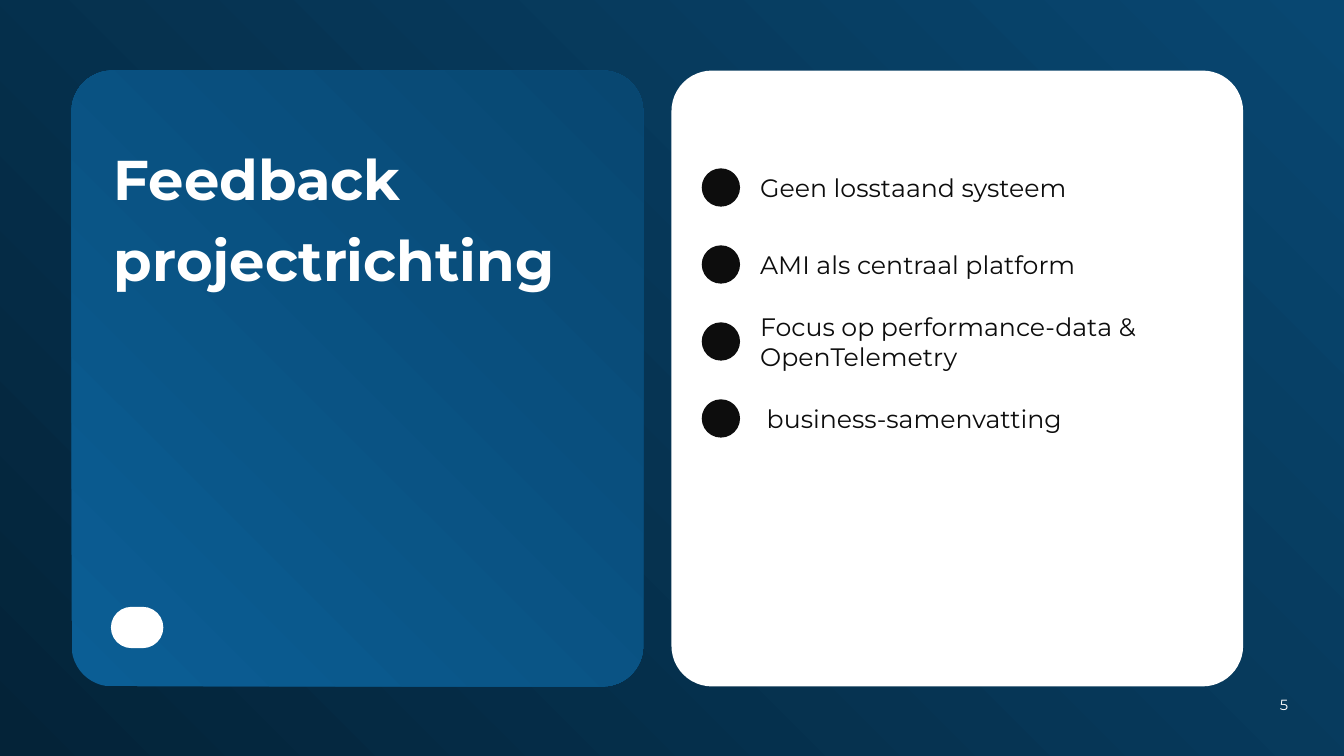
from pptx import Presentation
from pptx.dml.color import RGBColor
from pptx.enum.shapes import MSO_SHAPE as Shape
from pptx.enum.text import MSO_ANCHOR as Anchor, PP_ALIGN as Align
from pptx.util import Inches, Pt

COLORS = {
    "white": "FFFFFF",
    "ink": "0D0D0D",
    "bright": "084771",
    "night": "042338",
    "ocean": "0B5E95",
}
FONT = "Montserrat"
WIDTH, HEIGHT = 13.33, 7.5
PANEL_WIDTH, PANEL_HEIGHT = 5.67, 6.11
PANEL_LEFT, PANEL_TOP, PANEL_GAP = 0.71, 0.7, 0.28
POINTS = [
    "Geen losstaand systeem",
    "AMI als centraal platform",
    "Focus op performance-data & OpenTelemetry",
    " business-samenvatting",
]


def rgb(name):
    return RGBColor.from_string(COLORS[name])


def apply_gradient(fill, start, end):
    """Blend from the bottom left corner to the top right one."""
    fill.gradient()
    fill.gradient_angle = 45
    for stop, name in zip(fill.gradient_stops, (start, end)):
        stop.color.rgb = rgb(name)


def add_plain_shape(slide, kind, box, color=None, rounding=None):
    shape = slide.shapes.add_shape(kind, *map(Inches, box))
    shape.shadow.inherit = False
    shape.line.fill.background()
    if color:
        shape.fill.solid()
        shape.fill.fore_color.rgb = rgb(color)
    if rounding is not None:
        shape.adjustments[0] = rounding
    return shape


def add_text(slide, text, box, color, size, bold=False, inset=0.03,
             anchor=Anchor.TOP, align=Align.LEFT, spacing=1.0):
    frame = slide.shapes.add_textbox(*map(Inches, box)).text_frame
    margins = {f"margin_{side}": Inches(inset)
               for side in ("left", "top", "right", "bottom")}
    for name, value in {"word_wrap": True, "vertical_anchor": anchor, **margins}.items():
        setattr(frame, name, value)
    paragraph = frame.paragraphs[0]
    paragraph.alignment = align
    paragraph.line_spacing = spacing
    run = paragraph.add_run()
    run.text = text
    for name, value in {"name": FONT, "size": Pt(size), "bold": bold}.items():
        setattr(run.font, name, value)
    run.font.color.rgb = rgb(color)


def add_title_panel(slide, box):
    left, top, width, height = box
    panel = add_plain_shape(slide, Shape.ROUNDED_RECTANGLE, box, rounding=0.071)
    apply_gradient(panel.fill, "ocean", "bright")
    inner = left + 0.39
    add_text(slide, "Feedback projectrichting", (inner, top + 0.57, 4.87, 1.62),
             "white", 40, bold=True, spacing=1.2)
    # Pill at the foot of the panel
    add_plain_shape(slide, Shape.ROUNDED_RECTANGLE,
                    (inner, top + height - 0.79, 0.52, 0.41), "white", 0.5)


def add_points_panel(slide, box):
    left, top, width, height = box
    add_plain_shape(slide, Shape.ROUNDED_RECTANGLE, box, "white", 0.071)
    dot, text_height, pitch = 0.38, 0.66, height / 8
    for row, point in enumerate(POINTS):
        middle = top + 1.16 + row * pitch
        add_text(slide, point, (left + 0.85, middle - text_height / 2, 4.44, text_height),
                 "ink", 18, anchor=Anchor.MIDDLE)
        add_plain_shape(slide, Shape.OVAL, (left + 0.3, middle - dot / 2, dot, dot), "ink")


def add_page_number(slide, box):
    add_text(slide, "5", box, "white", 10.5, inset=0, align=Align.CENTER)


def main():
    presentation = Presentation()
    presentation.slide_width = Inches(WIDTH)
    presentation.slide_height = Inches(HEIGHT)
    slide = presentation.slides.add_slide(presentation.slide_layouts[6])
    apply_gradient(slide.background.fill, "night", "bright")

    # Two equal panels side by side
    for column, add_panel in enumerate((add_title_panel, add_points_panel)):
        left = PANEL_LEFT + column * (PANEL_WIDTH + PANEL_GAP)
        add_panel(slide, (left, PANEL_TOP, PANEL_WIDTH, PANEL_HEIGHT))
    add_page_number(slide, (WIDTH - 0.92, HEIGHT - 0.6, 0.65, 0.29))
    presentation.save("out.pptx")


if __name__ == "__main__":
    main()
